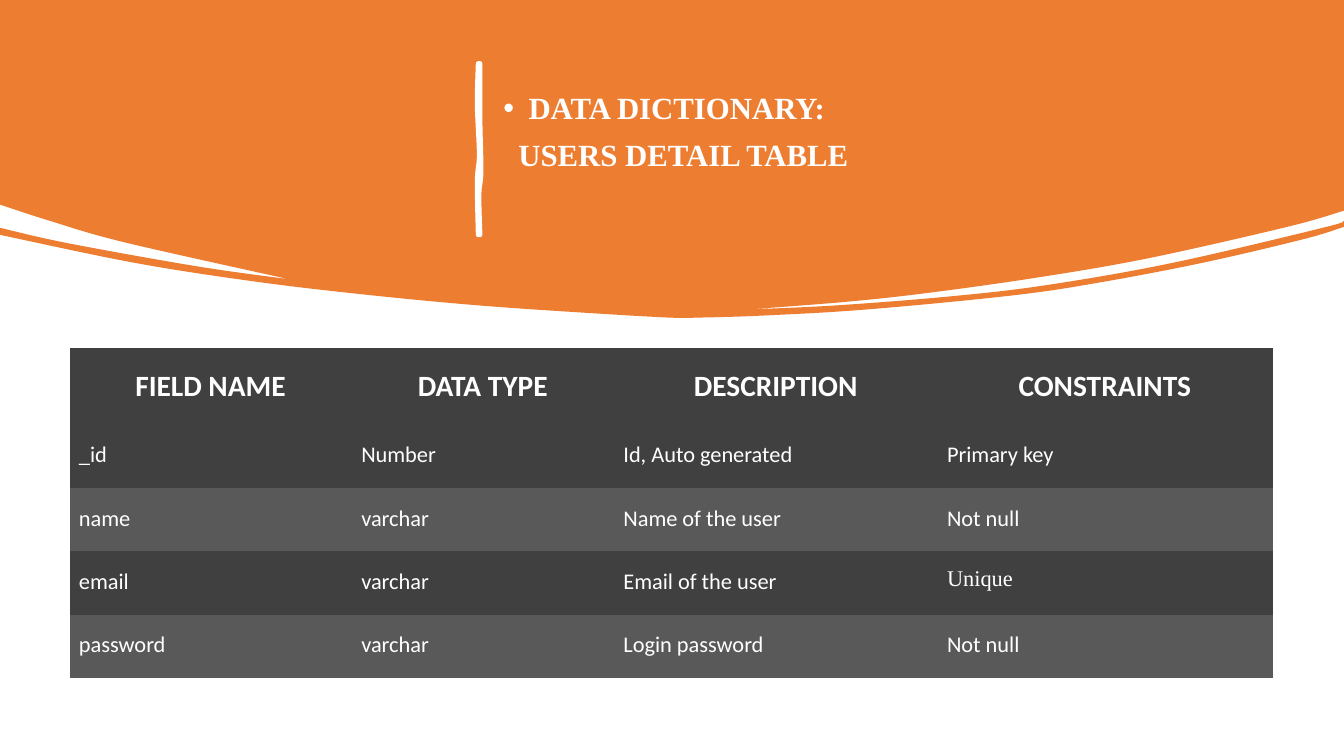
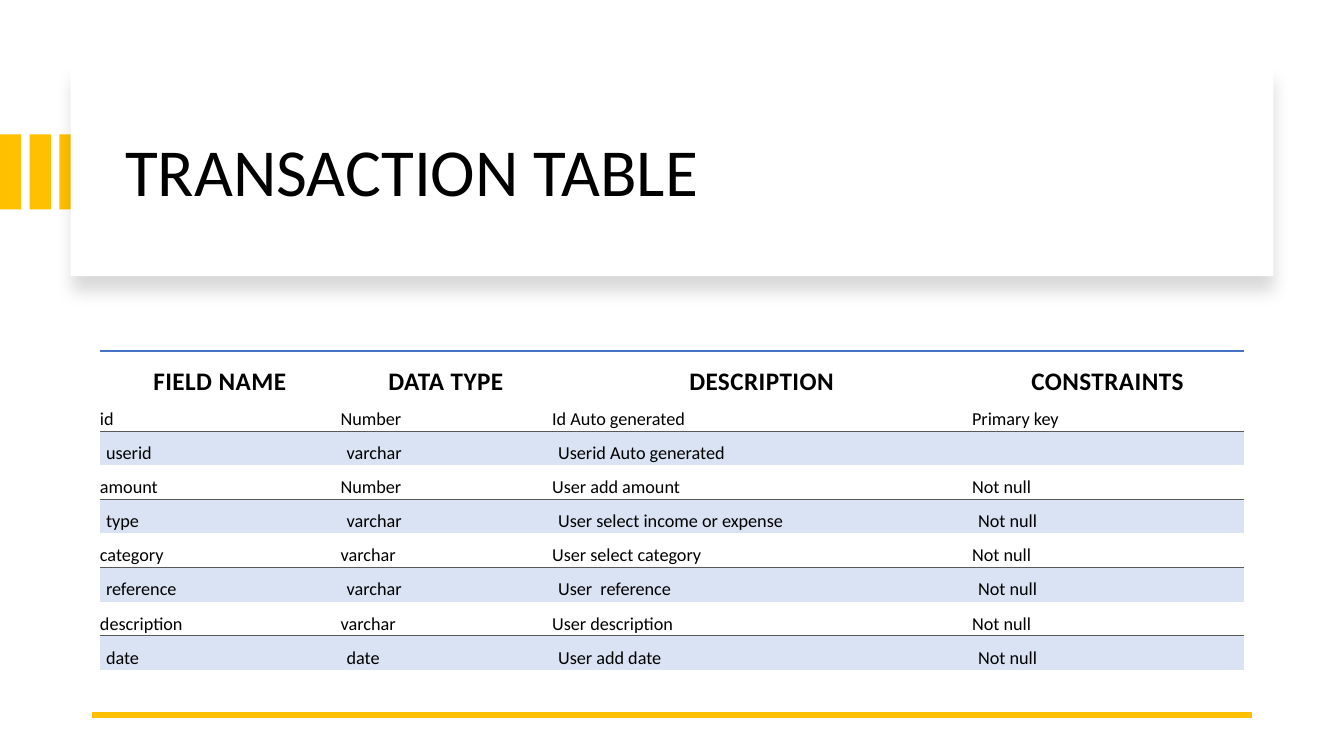
from dataclasses import dataclass

from lxml import etree
from pptx import Presentation
from pptx.dml.color import RGBColor
from pptx.enum.shapes import MSO_CONNECTOR, MSO_SHAPE
from pptx.enum.text import MSO_ANCHOR, MSO_AUTO_SIZE, PP_ALIGN
from pptx.oxml.ns import qn
from pptx.util import Emu, Inches, Pt

LEFT, CENTER, JUSTIFY = PP_ALIGN.LEFT, PP_ALIGN.CENTER, PP_ALIGN.JUSTIFY
TOP, MIDDLE, BOTTOM = MSO_ANCHOR.TOP, MSO_ANCHOR.MIDDLE, MSO_ANCHOR.BOTTOM
RECT, STRAIGHT = MSO_SHAPE.RECTANGLE, MSO_CONNECTOR.STRAIGHT
NO_AUTOFIT = MSO_AUTO_SIZE.NONE
WIDTH, HEIGHT = Inches(13.33), Inches(7.5)
NO_TABLE_STYLE = "{2D5ABB26-0587-4C30-8999-92F81FD0307C}"


@dataclass(frozen=True)
class Theme:
    sans: str = "Calibri"
    serif: str = "Times New Roman"
    white: str = "FFFFFF"
    black: str = "000000"
    orange: str = "ED7D31"
    gold: str = "FFC000"
    blue: str = "4472C4"
    pale_blue: str = "DAE3F3"
    rule: str = "595959"
    dark: str = "404040"
    grey: str = "595959"
    title: int = 48
    heading: int = 22


@dataclass(frozen=True)
class TableStyle:
    """Bands are fills for odd and even body rows; insets are left, top, right, bottom."""
    ink: str
    header_size: int
    body_size: int
    header_fill: str | None
    bands: tuple
    header_anchor: object
    header_insets: tuple
    band_insets: tuple
    spacing: int = 0
    top_rule: str | None = None
    band_rule: str | None = None


T = Theme()
DARK_TABLE = TableStyle(T.white, 21, 16, T.dark, (T.dark, T.grey), BOTTOM,
                        (0.09, 0.03, 0.1, 0.2), ((0.09, 0.03, 0.1, 0.19),) * 2)
LIGHT_TABLE = TableStyle(T.black, 18, 13, None, (None, T.pale_blue), MIDDLE,
                         (0, 0, 0.01, 0), ((0, 0, 0.08, 0), (0.06, 0, 0.08, 0)),
                         30, T.blue, T.rule)

HEADER = ("FIELD NAME", "DATA TYPE", "DESCRIPTION", "CONSTRAINTS")
USERS = (
    HEADER,
    ("_id", "Number", "Id, Auto generated", "Primary key"),
    ("name", "varchar", "Name of the user", "Not null"),
    ("email", "varchar", "Email of the user", "Unique"),
    ("password", "varchar", "Login password", "Not null"),
)
TRANSACTIONS = (
    HEADER,
    ("id", "Number", "Id Auto generated", "Primary key"),
    ("userid", "varchar", "Userid Auto generated", ""),
    ("amount", "Number", "User add amount", "Not null"),
    ("type", "varchar", "User select income or expense", "Not null"),
    ("category", "varchar", "User select category", "Not null"),
    ("reference", "varchar", "User  reference", "Not null"),
    ("description", "varchar", "User description", "Not null"),
    ("date", "date", "User add date", "Not null"),
)

# Banner edges in inches from the corner of the banner, clockwise.
BANNER_EDGES = (
    ((0, 0), (13.33, 0)),
    ((13.33, 2.09), (12.77, 2.25), (11.4, 2.56), (10.31, 2.75), (9.25, 2.9),
     (8.44, 2.99), (7.43, 3.07)),
    ((7.43, 3.07), (8.29, 3.03), (9.43, 2.94), (10.37, 2.83), (11.62, 2.61),
     (13.12, 2.26), (13.33, 2.19)),
    ((13.33, 2.25), (12.94, 2.37), (11.96, 2.6), (10.92, 2.8), (10.05, 2.93),
     (8.6, 3.07), (7.58, 3.13), (6.96, 3.15), (6.62, 3.15), (5.76, 3.1),
     (4.75, 3.03), (3.69, 2.93), (2.58, 2.8), (1.35, 2.61), (0, 2.33)),
    ((0, 2.26), (0.66, 2.41), (1.94, 2.64), (2.86, 2.77)),
    ((2.82, 2.76), (1.22, 2.4), (0.46, 2.18), (0, 2.03)),
)
STROKE_EDGES = (
    ((0.03, 0), (0.03, 0.55), (0.04, 1.07), (0.02, 1.3), (0.03, 1.7)),
    ((0.01, 1.7), (0, 1.17), (0.02, 0.9), (0, 0.4), (0.01, 0)),
)


def region(left, top, width, height):
    """Turn percentages of the slide into a box of lengths."""
    return tuple(Emu(round(share * side / 100)) for share, side in
                 zip((left, top, width, height), (WIDTH, HEIGHT) * 2))


def rgb(color):
    return RGBColor.from_string(color)


def paint(fill, color):
    if color is None:
        fill.background()
    else:
        fill.solid()
        fill.fore_color.rgb = rgb(color)


def write(p, text, size, color, font=T.sans, bold=False, align=LEFT, line=0.9,
          before=0, after=0, spacing=0):
    p.alignment, p.line_spacing = align, line
    p.space_before, p.space_after = Pt(before), Pt(after)
    r = p.add_run()
    r.text = text
    r.font.name, r.font.size, r.font.bold = font, Pt(size), bold
    r.font.color.rgb = rgb(color)
    if spacing:
        r._r.get_or_add_rPr().set("spc", str(spacing))


def indent(p, margin, hanging=0, bullet=None):
    pPr = p._p.get_or_add_pPr()
    pPr.set("marL", str(Inches(margin)))
    pPr.set("indent", str(-Inches(hanging)))
    if bullet:
        etree.SubElement(pPr, qn("a:buFont"), typeface="Arial")
        etree.SubElement(pPr, qn("a:buChar"), char=bullet)
    else:
        etree.SubElement(pPr, qn("a:buNone"))


def set_placeholder(sp, box):
    sp.left, sp.top, sp.width, sp.height = box
    tf = sp.text_frame
    tf.auto_size, tf.word_wrap, tf.vertical_anchor = NO_AUTOFIT, True, MIDDLE
    return tf


def curve_controls(knots):
    """For each step between knots, the two control points of a smooth curve."""
    ends = (knots[0], *knots, knots[-1])
    for a, b, c, d in zip(ends, ends[1:], ends[2:], ends[3:]):
        yield (tuple(q + (r - o) / 6 for o, q, r in zip(a, b, c)),
               tuple(r - (u - q) / 6 for q, r, u in zip(b, c, d)))


def bend(line_to, controls):
    """Turn a straight step of a path into a curve."""
    line_to.tag = qn("a:cubicBezTo")
    for i, (x, y) in enumerate(controls):
        pt = etree.Element(qn("a:pt"), x=str(Inches(x)), y=str(Inches(y)))
        line_to.insert(i, pt)


def add_outline(s, left, top, edges, color, line=None):
    """Draw smooth edges joined by straight steps."""
    points = [(Inches(x), Inches(y)) for edge in edges for x, y in edge]
    builder = s.shapes.build_freeform(*points[0])
    builder.add_line_segments(points[1:], close=True)
    sp = builder.convert_to_shape(left, top)
    steps = iter(list(sp._element.iter(qn("a:lnTo"))))
    for i, edge in enumerate(edges):
        if i:
            next(steps)
        for controls in curve_controls(edge):
            bend(next(steps), controls)
    sp.shadow.inherit = False
    paint(sp.fill, color)
    paint(sp.line.fill, color if line else None)
    if line:
        sp.line.width = Pt(line)


def add_rect(s, box, color):
    sp = s.shapes.add_shape(RECT, *box)
    sp.shadow.inherit = False
    paint(sp.fill, color)
    sp.line.fill.background()
    return sp


def add_soft_shadow(sp, color, alpha, blur, distance):
    effects = sp._element.spPr.find(qn("a:effectLst"))
    shadow = etree.SubElement(effects, qn("a:outerShdw"), blurRad=str(Pt(blur)),
                              dist=str(Pt(distance)), dir="5400000",
                              algn="t", rotWithShape="0")
    tint = etree.SubElement(shadow, qn("a:srgbClr"), val=color)
    etree.SubElement(tint, qn("a:alpha"), val=str(alpha * 1000))


def set_borders(cell, **sides):
    """Sides in schema order, each a colour and a width, or None for no line."""
    tcPr = cell._tc.get_or_add_tcPr()
    for i, (side, look) in enumerate(sides.items()):
        ln = etree.Element(qn(f"a:{side}"))
        if look:
            ln.set("w", str(Pt(look[1])))
            fill = etree.SubElement(ln, qn("a:solidFill"))
            etree.SubElement(fill, qn("a:srgbClr"), val=look[0])
        else:
            etree.SubElement(ln, qn("a:noFill"))
        tcPr.insert(i, ln)


def format_cell(cell, text, row, style, font):
    header, band = row == 0, (row - 1) % 2
    insets = style.header_insets if header else style.band_insets[band]
    (cell.margin_left, cell.margin_top,
     cell.margin_right, cell.margin_bottom) = map(Inches, insets)
    cell.vertical_anchor = style.header_anchor if header else TOP
    paint(cell.fill, style.header_fill if header else style.bands[band])
    write(cell.text_frame.paragraphs[0], text,
          style.header_size if header else style.body_size, style.ink, font,
          bold=header, align=CENTER if header else JUSTIFY, line=1.5,
          before=0 if header else 5, after=10,
          spacing=style.spacing if header else 0)
    if style.band_rule:
        rule = (style.band_rule, 0.75)
        if header:
            set_borders(cell, lnT=(style.top_rule, 1.5), lnB=None)
        elif band:
            set_borders(cell, lnT=rule, lnB=None)
        else:
            set_borders(cell, lnT=None, lnB=rule)


def add_field_table(s, box, rows, columns, header_share, style, serif_words=()):
    """Columns are relative widths; the header takes its share of the height."""
    table = s.shapes.add_table(len(rows), len(columns), *box).table
    table._tbl.tblPr.find(qn("a:tableStyleId")).text = NO_TABLE_STYLE
    table.first_row = table.horz_banding = False
    for column, share in zip(table.columns, columns):
        column.width = Emu(round(box[2] * share / sum(columns)))
    body_share = (1 - header_share) / (len(rows) - 1)
    for i, texts in enumerate(rows):
        table.rows[i].height = Emu(round(box[3] * (body_share if i else header_share)))
        for j, text in enumerate(texts):
            font = T.serif if text in serif_words else T.sans
            format_cell(table.cell(i, j), text, i, style, font)


def add_banner(s, box):
    left, top, width, height = box
    add_outline(s, left, top, BANNER_EDGES, T.orange)
    add_outline(s, left + round(width * 0.355), top + round(height * 0.2),
                STROKE_EDGES, T.white, 3.25)


def add_title_card(s, box):
    left, top, width, height = box
    bar, pitch = round(left * 0.3), round(left * 0.42)
    for i in range(3):
        add_rect(s, (i * pitch, top + round(height * 0.32), bar,
                     round(height * 0.36)), T.gold)
    add_soft_shadow(add_rect(s, box, T.white), T.black, 15, 11, 10)
    title = s.shapes.title
    s.shapes._spTree.append(title._element)
    tf = set_placeholder(title, (left + round(width * 0.037), top + round(height * 0.105),
                                 round(width * 0.93), round(height * 0.82)))
    write(tf.paragraphs[0], "TRANSACTION TABLE", T.title, T.black)


def add_footer_rule(s, box):
    left, top, width, _ = box
    line = s.shapes.add_connector(STRAIGHT, left + width, top, left, top)
    line.line.color.rgb, line.line.width = rgb(T.gold), Pt(4.5)
    etree.SubElement(line._element.spPr, qn("a:effectLst"))


def users_slide(prs):
    s = prs.slides.add_slide(prs.slide_layouts[1])
    title, body = s.placeholders
    title._element.getparent().remove(title._element)
    add_banner(s, region(0, 0, 100, 42))
    s.shapes._spTree.append(body._element)
    tf = set_placeholder(body, region(36.7, 9.9, 58, 15.4))
    lines = (("DATA DICTIONARY:", (0.25, 0.25, "•")), ("USERS DETAIL TABLE", (0.15,)))
    for i, (text, layout) in enumerate(lines):
        p = tf.add_paragraph() if i else tf.paragraphs[0]
        write(p, text, T.heading, T.white, T.serif, bold=True, before=10)
        indent(p, *layout)
    add_field_table(s, region(5.2, 46, 89.5, 42.4), USERS, (2.8, 2.6, 3.21, 3.32),
                    0.23, DARK_TABLE, serif_words=("Unique",))


def transactions_slide(prs):
    s = prs.slides.add_slide(prs.slide_layouts[5])
    add_title_card(s, region(5.25, 8.95, 89.5, 27.6))
    add_footer_rule(s, region(6.87, 94.55, 86.28, 0))
    add_field_table(s, region(7.44, 46.4, 85.12, 42), TRANSACTIONS,
                    (2.39, 2.1, 4.17, 2.7), 0.14, LIGHT_TABLE)


def main():
    prs = Presentation()
    prs.slide_width, prs.slide_height = WIDTH, HEIGHT
    users_slide(prs)
    transactions_slide(prs)
    prs.save("out.pptx")


if __name__ == "__main__":
    main()
